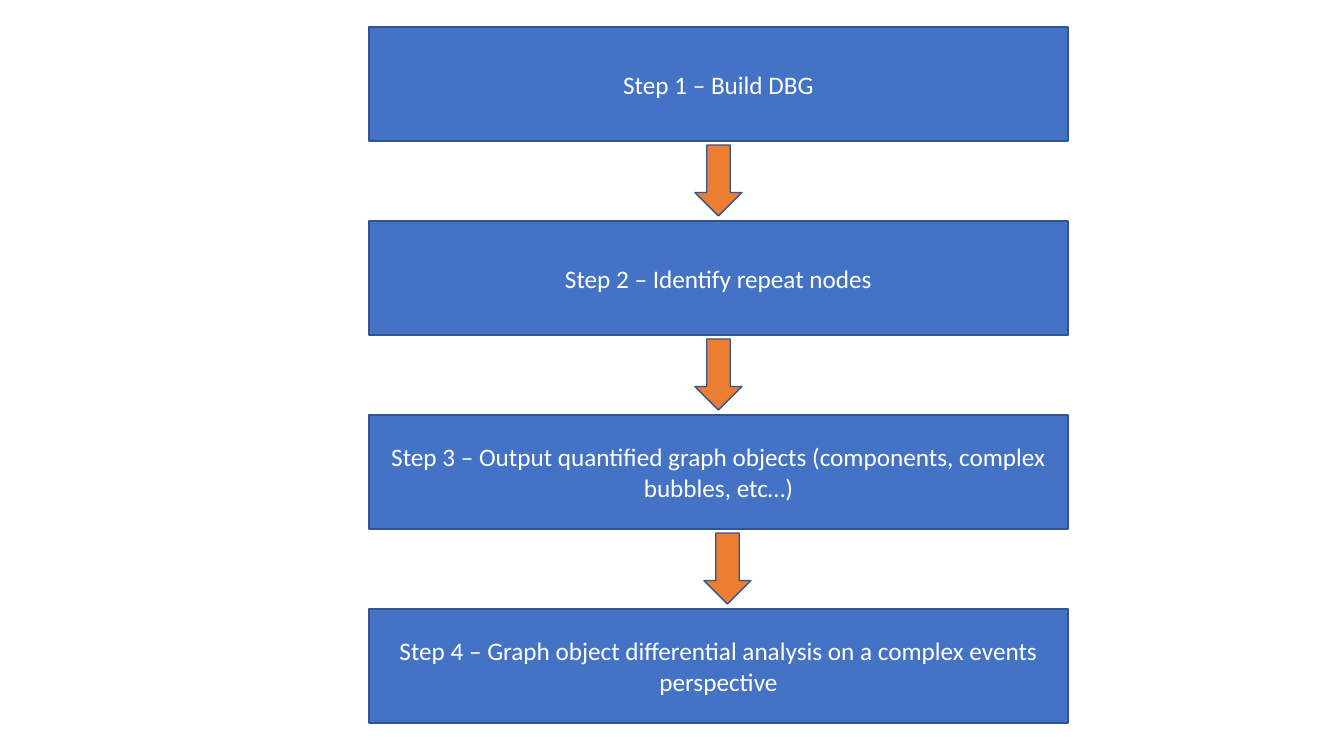
from pptx import Presentation
from pptx.dml.color import RGBColor
from pptx.enum.shapes import MSO_SHAPE as SHAPE
from pptx.enum.text import MSO_ANCHOR as ANCHOR, PP_ALIGN as ALIGN
from pptx.util import Pt

PX = 914400 / 100.8
COLORS = {"box": "4472C4", "arrow": "ED7D31", "line": "325491", "text": "FFFFFF"}

prs = Presentation()
prs.slide_width, prs.slide_height = round(1344 * PX), round(756 * PX)
s = prs.slides.add_slide(prs.slide_layouts[6])


def add_block(kind, left, top, width, height, color):
    sp = s.shapes.add_shape(kind, *(round(v * PX) for v in (left, top, width, height)))
    sp.shadow.inherit = False
    sp.fill.solid()
    sp.fill.fore_color.rgb = RGBColor.from_string(COLORS[color])
    sp.line.color.rgb = RGBColor.from_string(COLORS["line"])
    sp.line.width = Pt(1)
    return sp


# Step boxes
TOP, PITCH, BOX_H = 27, 194, 114
steps = [
    "Step 1 – Build DBG",
    "Step 2 – Identify repeat nodes",
    "Step 3 – Output quantified graph objects (components, complex bubbles, etc…)",
    "Step 4 – Graph object differential analysis on a complex events perspective",
]
for i, step in enumerate(steps):
    sp = add_block(SHAPE.RECTANGLE, 369, TOP + i * PITCH, 699, BOX_H, "box")
    tf = sp.text_frame
    tf.word_wrap = True
    tf.vertical_anchor = ANCHOR.MIDDLE
    tf.text = step
    p = tf.paragraphs[0]
    p.alignment = ALIGN.CENTER
    r = p.runs[0]
    r.font.name, r.font.size = "Calibri", Pt(18)
    r.font.color.rgb = RGBColor.from_string(COLORS["text"])

# Arrows between the boxes; the last sits slightly to the right
for i, left in enumerate([695, 695, 704]):
    add_block(SHAPE.DOWN_ARROW, left, TOP + BOX_H + 4 + i * PITCH, 47, 71, "arrow")

prs.save("out.pptx")
